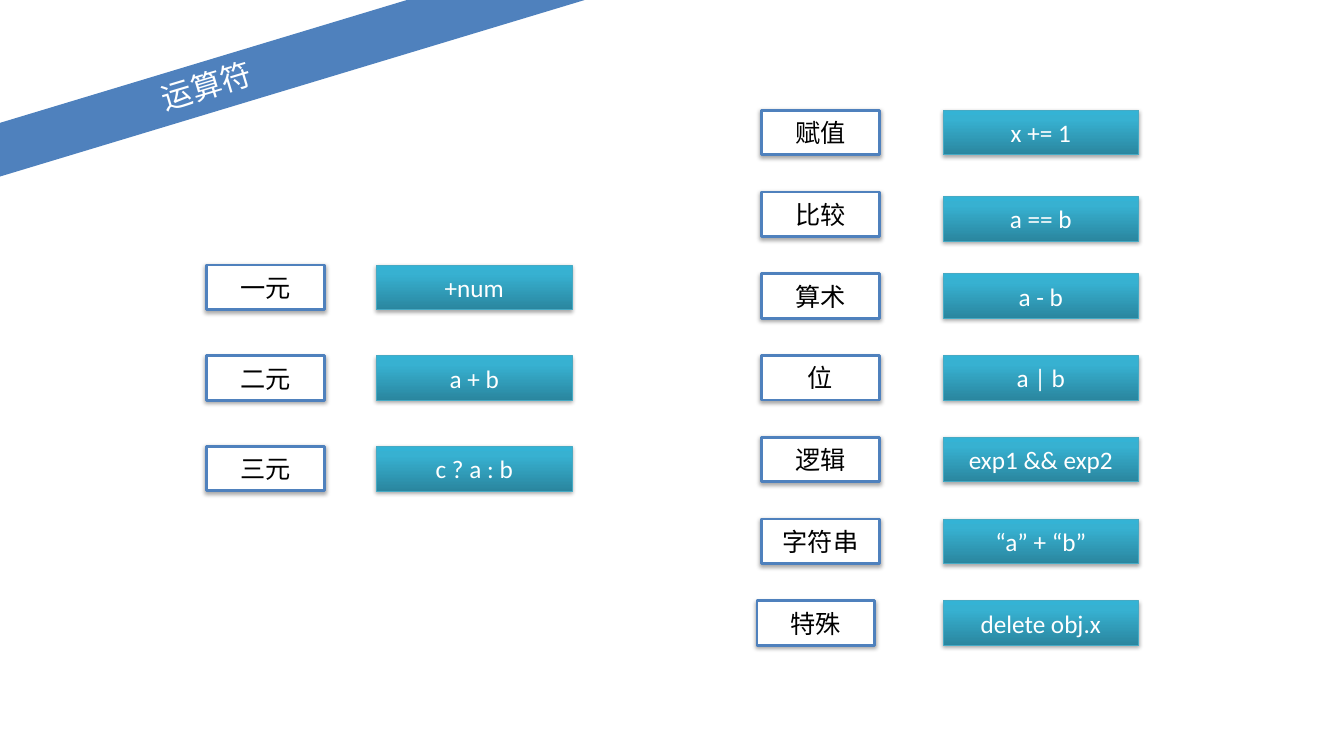
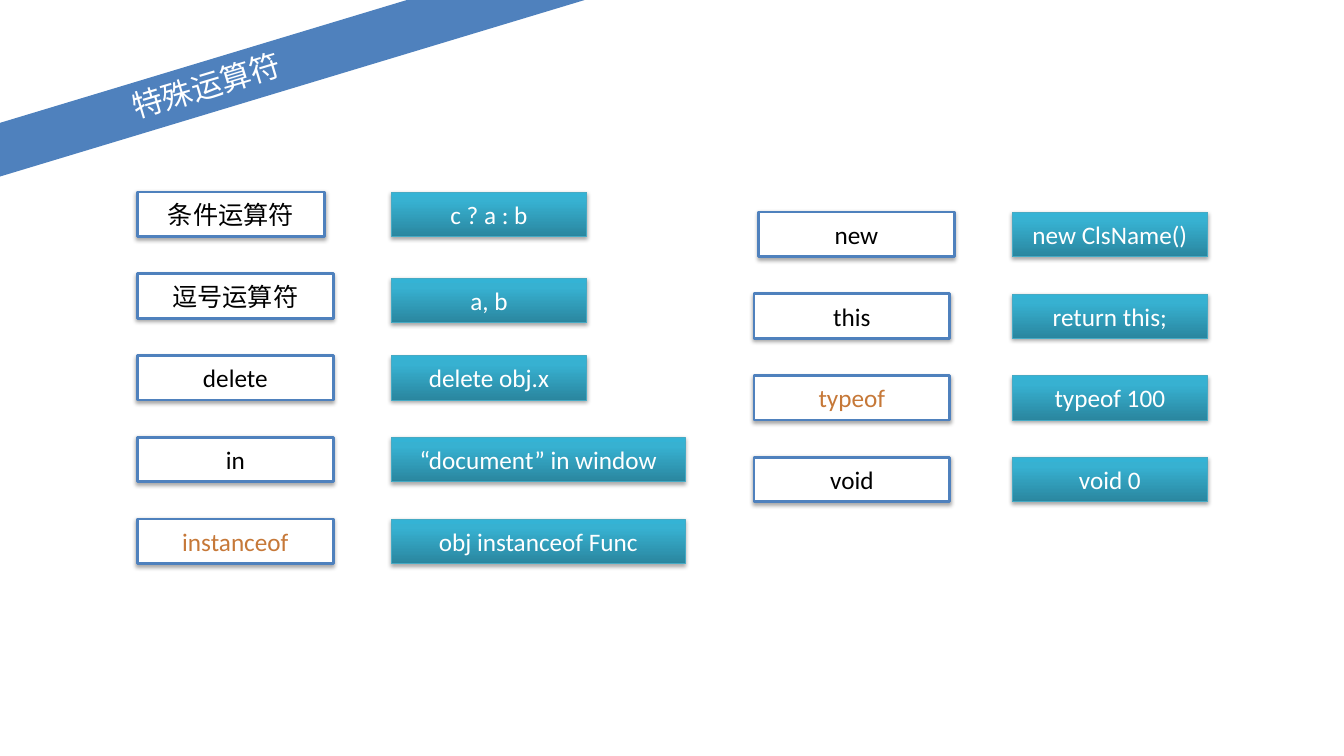
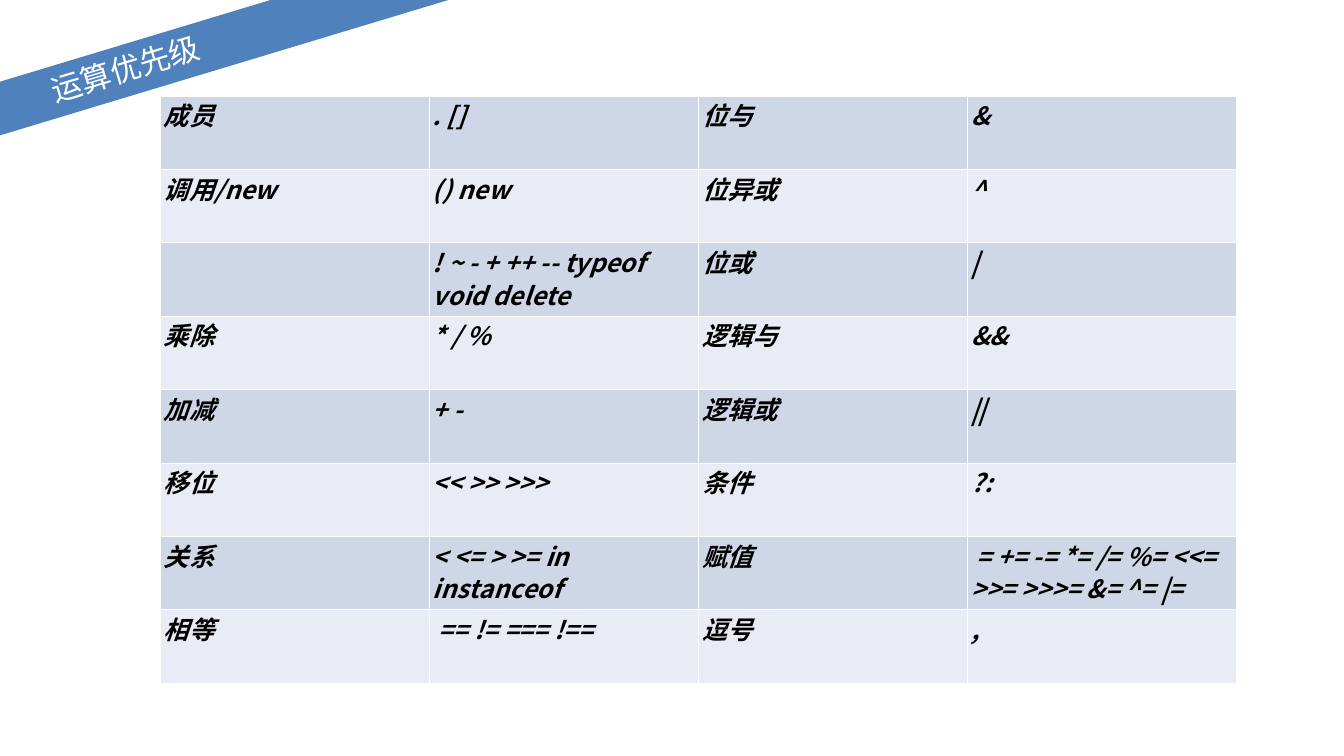
"""Build three slides on operators: kinds, special operators and precedence."""
from dataclasses import dataclass
from typing import Any

from lxml import etree
from pptx import Presentation
from pptx.dml.color import RGBColor
from pptx.enum.shapes import MSO_SHAPE
from pptx.enum.text import MSO_ANCHOR, PP_ALIGN
from pptx.oxml.ns import qn
from pptx.util import Cm, Pt

RECTANGLE = MSO_SHAPE.RECTANGLE
MIDDLE = MSO_ANCHOR.MIDDLE
CENTER = PP_ALIGN.CENTER
LEFT = PP_ALIGN.LEFT

COLORS = {
    "band": "4F81BD",
    "white": "FFFFFF",
    "black": "000000",
    "accent": "C67838",
    "example_line": "46AAC4",
    "row_dark": "CFD7E7",
    "row_light": "E8ECF4",
}
EXAMPLE_GRADIENT = ((0, "2A869F"), (80, "37B1D1"), (100, "34B3D5"))
LATIN_FONT = "Calibri"
CHINESE_FONT = "Noto Sans CJK SC"
BOX_HEIGHT = 2.24
SHORT, NORMAL, LONG = 5.94, 9.86, 14.83
PITCH = 4.12
NUDGE = 0.23


@dataclass(frozen=True)
class Pair:
    """An operator label with its example and any departure from the grid."""
    label: str
    example: str
    color: str = "black"
    label_width: float | None = None
    example_width: float = NORMAL
    label_shift: float = 0
    example_drop: float = 0


@dataclass(frozen=True)
class PairColumn:
    """A column of pairs at an even pitch, in centimetres."""
    label_left: float
    example_left: float
    top: float
    label_width: float
    pairs: tuple[Pair, ...]
    pitch: float = PITCH


@dataclass(frozen=True)
class OperatorPage:
    """A page with a title band and columns of pairs."""
    title: str
    columns: tuple[PairColumn, ...]


OPERATOR_PAGES = (
    OperatorPage("运算符", (
        PairColumn(38.38, 47.52, 5.56, SHORT, (
            Pair("赋值", "x += 1"),
            Pair("比较", "a == b", example_drop=NUDGE),
            Pair("算术", "a - b"),
            Pair("位", "a | b"),
            Pair("逻辑", "exp1 && exp2"),
            Pair("字符串", "“a” + “b”"),
            Pair("特殊", "delete obj.x", label_shift=-NUDGE),
        )),
        PairColumn(10.41, 18.97, 13.36, SHORT, (
            Pair("一元", "+num"),
            Pair("二元", "a + b"),
            Pair("三元", "c ? a : b"),
        ), pitch=4.57),
    )),
    OperatorPage("特殊运算符", (
        PairColumn(6.93, 19.71, 9.68, NORMAL, (
            Pair("条件运算符", "c ? a : b", label_width=9.42),
            Pair("逗号运算符", "a, b", example_drop=NUDGE),
            Pair("delete", "delete obj.x"),
            Pair("in", "“document” in window", example_width=LONG),
            Pair("instanceof", "obj instanceof Func", color="accent", example_width=LONG),
        )),
        PairColumn(38, 51, 10.69, NORMAL, (
            Pair("new", "new ClsName()", label_shift=NUDGE),
            Pair("this", "return this;"),
            Pair("typeof", "typeof 100", color="accent"),
            Pair("void", "void 0"),
        )),
    )),
)

PRECEDENCE = (
    ("成员", ". []", "位与", "&"),
    ("调用/new", "() new", "位异或", "^"),
    ("", "! ~ - + ++ -- typeof void delete", "位或", "|"),
    ("乘除", "* / %", "逻辑与", "&&"),
    ("加减", "+ -", "逻辑或", "||"),
    ("移位", "<< >> >>>", "条件", "?:"),
    ("关系", "< <= > >= in instanceof", "赋值", " = += -= *= /= %= <<= >>= >>>= &= ^= |="),
    ("相等", " == != === !==", "逗号", ","),
)


def rgb(name: str) -> RGBColor:
    """Return a named colour."""
    return RGBColor.from_string(COLORS[name])


def write_text(frame: Any, text: str, *, size: float = 36, color: str = "black",
               font: str = LATIN_FONT, align: PP_ALIGN = CENTER, bold: bool = False,
               italic: bool = False, spacing: float = 1, margin: float = 0) -> None:
    """Write one formatted paragraph into a text frame."""
    frame.word_wrap = True
    frame.margin_left = frame.margin_right = Cm(margin)
    frame.margin_top = frame.margin_bottom = Cm(margin)
    para = frame.paragraphs[0]
    para.alignment = align
    para.line_spacing = spacing
    span = para.add_run()
    span.text = text
    span.font.size = Pt(size)
    span.font.name = font
    span.font.bold = bold
    span.font.italic = italic
    span.font.color.rgb = rgb(color)
    east_asian = etree.SubElement(span.font._element, qn("a:ea"))
    east_asian.set("typeface", CHINESE_FONT)


def add_color(parent: Any, value: str) -> Any:
    """Append an RGB colour element."""
    return etree.SubElement(parent, qn("a:srgbClr"), val=value)


def add_box(page: Any, left: float, top: float, width: float, height: float = BOX_HEIGHT) -> Any:
    """Add a plain rectangle with centred text and no shadow."""
    box = page.shapes.add_shape(RECTANGLE, Cm(left), Cm(top), Cm(width), Cm(height))
    box.shadow.inherit = False
    box.text_frame.vertical_anchor = MIDDLE
    return box


def add_shadow(box: Any) -> None:
    """Give a box a soft shadow straight below it."""
    effects = box._element.spPr.find(qn("a:effectLst"))
    shadow = etree.SubElement(effects, qn("a:outerShdw"), blurRad=str(Pt(6)),
                              dist=str(Pt(3)), dir="5400000", rotWithShape="0")
    etree.SubElement(add_color(shadow, COLORS["black"]), qn("a:alpha"), val="35000")


def fill_gradient(box: Any) -> None:
    """Fill a box with the example gradient, dark at the bottom."""
    box.fill.gradient()
    box.fill.gradient_angle = 90
    stops = box._element.spPr.find(qn("a:gradFill")).find(qn("a:gsLst"))
    for stop in list(stops):
        stops.remove(stop)
    for position, value in EXAMPLE_GRADIENT:
        add_color(etree.SubElement(stops, qn("a:gs"), pos=str(position * 1000)), value)


def add_title_band(page: Any, title: str, left: float = -12.67, top: float = 3.1) -> None:
    """Add the slanted band that carries the page title."""
    band = add_box(page, left, top, 46.2, 2.59)
    band.rotation = 343.2
    band.fill.solid()
    band.fill.fore_color.rgb = rgb("band")
    band.line.fill.background()
    write_text(band.text_frame, title, size=43.8, color="white", font=CHINESE_FONT, spacing=0.9)


def add_label(page: Any, left: float, top: float, width: float, text: str, color: str) -> None:
    """Add a white outlined operator label."""
    box = add_box(page, left, top, width)
    box.fill.solid()
    box.fill.fore_color.rgb = rgb("white")
    box.line.color.rgb = rgb("band")
    box.line.width = Pt(4)
    add_shadow(box)
    write_text(box.text_frame, text, color=color)


def add_example(page: Any, left: float, top: float, width: float, text: str) -> None:
    """Add a gradient box with an example expression."""
    box = add_box(page, left, top, width)
    fill_gradient(box)
    box.line.color.rgb = rgb("example_line")
    box.line.width = Pt(1)
    add_shadow(box)
    write_text(box.text_frame, text, color="white")


def add_pair_column(page: Any, column: PairColumn) -> None:
    """Draw every label and example of a column."""
    for index, pair in enumerate(column.pairs):
        top = column.top + index * column.pitch
        add_label(page, column.label_left + pair.label_shift, top,
                  pair.label_width or column.label_width, pair.label, pair.color)
        add_example(page, column.example_left, top + pair.example_drop,
                    pair.example_width, pair.example)


def add_cell_borders(cell: Any) -> None:
    """Draw thin white borders around a cell."""
    properties = cell._tc.get_or_add_tcPr()
    for index, side in enumerate(("lnL", "lnR", "lnT", "lnB")):
        border = etree.Element(qn(f"a:{side}"), w=str(Pt(1)))
        add_color(etree.SubElement(border, qn("a:solidFill")), COLORS["white"])
        properties.insert(index, border)


def add_precedence_table(page: Any) -> None:
    """Add the banded table of operators by precedence."""
    row_count, column_count = len(PRECEDENCE), len(PRECEDENCE[0])
    table = page.shapes.add_table(row_count, column_count, Cm(8.08), Cm(4.83),
                                  Cm(13.56 * column_count), Cm(3.7 * row_count)).table
    table.first_row = False
    table.horz_banding = False
    for row_index, texts in enumerate(PRECEDENCE):
        for column_index, text in enumerate(texts):
            cell = table.cell(row_index, column_index)
            cell.fill.solid()
            cell.fill.fore_color.rgb = rgb("row_light" if row_index % 2 else "row_dark")
            add_cell_borders(cell)
            cell.margin_left = cell.margin_right = Cm(0.18)
            cell.margin_top = cell.margin_bottom = Cm(0.18)
            if text:
                write_text(cell.text_frame, text, font=CHINESE_FONT, align=LEFT,
                           bold=True, italic=True, spacing=0.9, margin=0.18)


def build_deck() -> None:
    """Build all pages and save the deck."""
    deck = Presentation()
    deck.slide_width = Cm(67.73)
    deck.slide_height = Cm(38.1)
    blank = deck.slide_layouts[6]
    for content in OPERATOR_PAGES:
        page = deck.slides.add_slide(blank)
        add_title_band(page, content.title)
        for column in content.columns:
            add_pair_column(page, column)
    page = deck.slides.add_slide(blank)
    add_title_band(page, "运算优先级", left=-16.76, top=2.26)
    add_precedence_table(page)
    deck.save("out.pptx")


build_deck()
